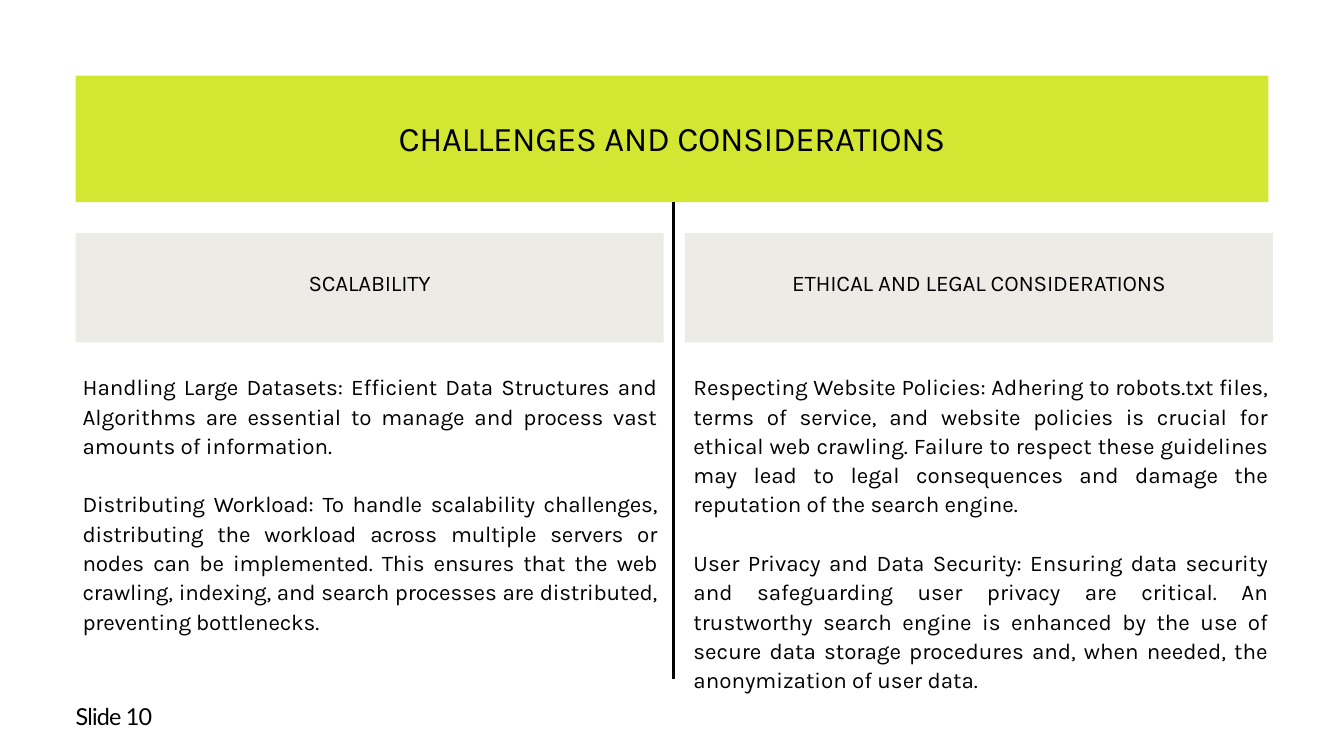
from lxml import etree
from pptx import Presentation
from pptx.dml.color import RGBColor
from pptx.enum import shapes, text
from pptx.oxml.ns import qn
from pptx.util import Pt

BLACK = RGBColor(0x00, 0x00, 0x00)
WHITE = RGBColor(0xFF, 0xFF, 0xFF)
LIME = RGBColor(0xD3, 0xE6, 0x31)
STONE = RGBColor(0xED, 0xEB, 0xE6)

LEFT = 81
BAND_TOP, BAND_WIDTH, BAND_HEIGHT = 81, 1278, 135.7
HEADING_TOP, HEADING_WIDTH, HEADING_HEIGHT = 249.8, 630, 117
BODY_TOP, BODY_WIDTH = 397.4, 615.6

COLUMNS = [
    (LEFT, 88.5, 277, "SCALABILITY", [
        ("Handling Large Datasets: Efficient Data Structures and Algorithms are "
         "essential to manage and process vast amounts of information.", 0),
        ("Distributing Workload: To handle scalability challenges, distributing the "
         "workload across multiple servers or nodes can be implemented. This ensures "
         "that the web crawling, indexing, and search processes are distributed, "
         "preventing bottlenecks.", -0.2),
    ]),
    (733.7, 743, 369, "ETHICAL AND LEGAL CONSIDERATIONS", [
        ("Respecting Website Policies: Adhering to robots.txt files, terms of service, "
         "and website policies is crucial for ethical web crawling. Failure to respect "
         "these guidelines may lead to legal consequences and damage the reputation of "
         "the search engine.", 0),
        ("User Privacy and Data Security: Ensuring data security and safeguarding user "
         "privacy are critical. An trustworthy search engine is enhanced by the use of "
         "secure data storage procedures and, when needed, the anonymization of user "
         "data.", 0),
    ]),
]


def add_panel(page, left, top, width, height, color):
    panel = page.shapes.add_shape(shapes.MSO_SHAPE.RECTANGLE,
                                  Pt(left), Pt(top), Pt(width), Pt(height))
    panel.shadow.inherit = False
    panel.fill.solid()
    panel.fill.fore_color.rgb = color
    panel.line.fill.background()


def add_text(page, left, top, width, height, paragraphs, size, leading,
             align=text.PP_ALIGN.LEFT, anchor=text.MSO_ANCHOR.TOP,
             inset=0, font="Karla", gap=0):
    box = page.shapes.add_textbox(Pt(left), Pt(top), Pt(width), Pt(height))
    frame = box.text_frame
    frame.word_wrap = True
    frame.vertical_anchor = anchor
    frame.margin_left = frame.margin_right = Pt(inset)
    frame.margin_top = frame.margin_bottom = Pt(inset)
    frame.text = "\n".join(words for words, _ in paragraphs)
    for index, (para, (_, tracking)) in enumerate(zip(frame.paragraphs, paragraphs)):
        para.alignment = align
        para.line_spacing = Pt(leading)
        if index:
            para.space_before = Pt(gap)
        for span in para.runs:
            span.font.name = font
            span.font.size = Pt(size)
            span.font.color.rgb = BLACK
            if tracking:
                span._r.get_or_add_rPr().set("spc", str(round(tracking * 100)))


def add_heading(page, left, top, width, height, words, size, leading, tracking):
    add_text(page, left, top, width, height, [(words, tracking)], size, leading,
             align=text.PP_ALIGN.CENTER, anchor=text.MSO_ANCHOR.MIDDLE, inset=8)


def add_divider(page, x, top, bottom):
    divider = page.shapes.add_connector(shapes.MSO_CONNECTOR.STRAIGHT,
                                        Pt(x), Pt(top), Pt(x), Pt(bottom))
    divider.line.color.rgb = BLACK
    divider.line.width = Pt(3)
    etree.SubElement(divider._element.spPr, qn("a:effectLst"))


def add_column(page, left, body_left, body_height, heading, paragraphs):
    add_panel(page, left, HEADING_TOP, HEADING_WIDTH, HEADING_HEIGHT, STONE)
    add_heading(page, left, HEADING_TOP - 16.5, HEADING_WIDTH, HEADING_HEIGHT + 16.5,
                heading, 24, 33.6, -0.2)
    add_text(page, body_left, BODY_TOP, BODY_WIDTH, body_height, paragraphs, 24, 31.4,
             align=text.PP_ALIGN.JUSTIFY, gap=31.4)


def main():
    deck = Presentation()
    deck.slide_width, deck.slide_height = Pt(1440), Pt(810)
    page = deck.slides.add_slide(deck.slide_layouts[6])
    page.background.fill.solid()
    page.background.fill.fore_color.rgb = WHITE

    add_panel(page, LEFT, BAND_TOP, BAND_WIDTH, BAND_HEIGHT, LIME)
    add_heading(page, LEFT, BAND_TOP - 2.5, BAND_WIDTH, BAND_HEIGHT + 2.5,
                "CHALLENGES AND CONSIDERATIONS", 37, 44.4, -0.4)
    for column in COLUMNS:
        add_column(page, *column)
    add_divider(page, 721.5, BAND_TOP + BAND_HEIGHT, 728)
    add_text(page, LEFT, 735, 328, 43, [("Slide 10", -0.8)], 25, 47.5, font="Lato")

    deck.save("out.pptx")


if __name__ == "__main__":
    main()
